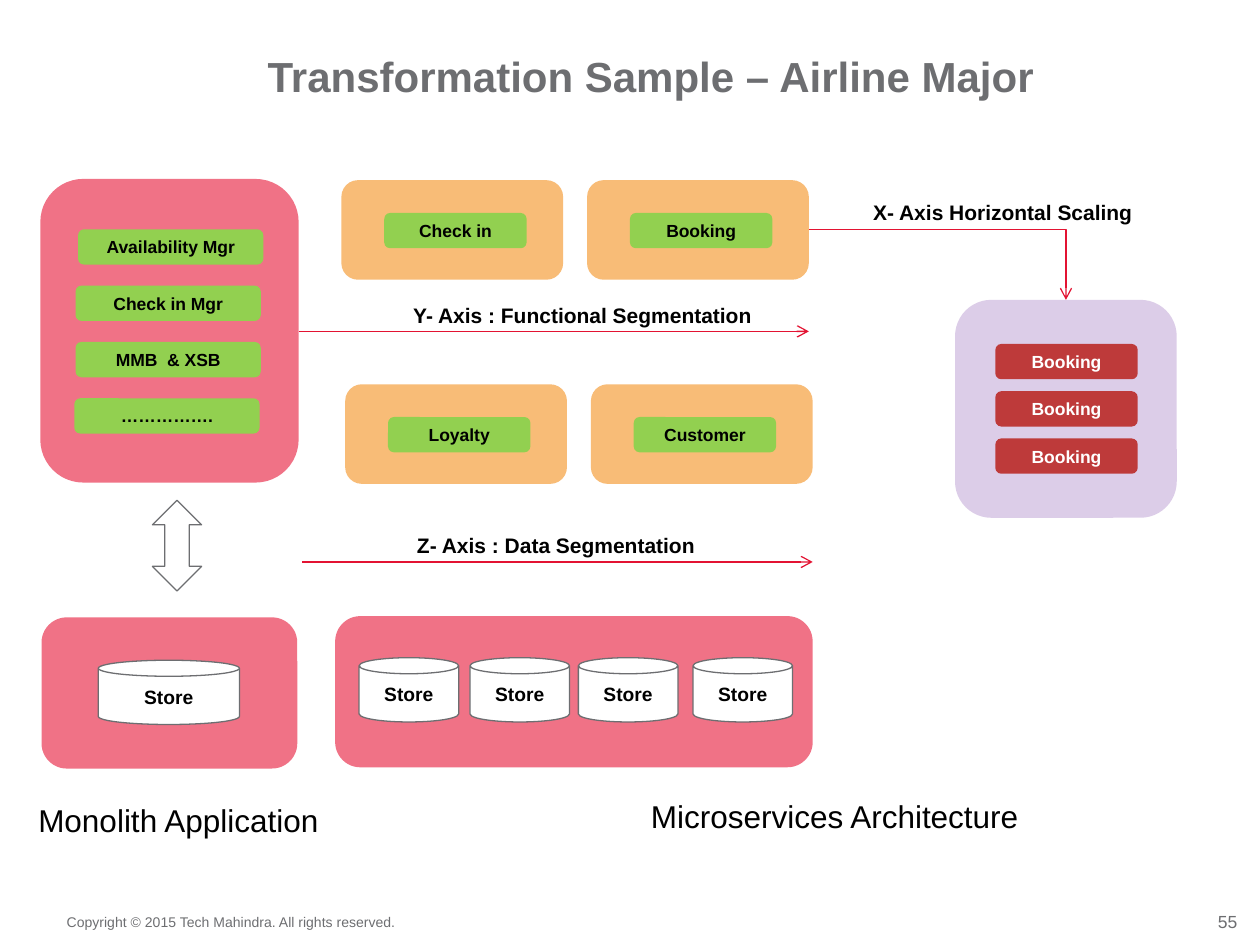
"""Build the airline transformation slide: monolith to microservices."""
import dataclasses
import lxml.etree
import pptx
import pptx.dml.color
import pptx.enum.shapes
import pptx.enum.text
import pptx.oxml.ns
import pptx.util

Inches = pptx.util.Inches
RGB = pptx.dml.color.RGBColor.from_string
SHAPE = pptx.enum.shapes.MSO_SHAPE
LINK = pptx.enum.shapes.MSO_CONNECTOR
ALIGN = pptx.enum.text.PP_ALIGN
ANCHOR = pptx.enum.text.MSO_ANCHOR
qn = pptx.oxml.ns.qn


@dataclasses.dataclass(frozen=True)
class Theme:
    font: str = "Arial"
    gray: str = "6D6E71"
    black: str = "000000"
    white: str = "FFFFFF"
    pink: str = "F07286"
    orange: str = "F8BC77"
    green: str = "92D050"
    red: str = "BE3A3A"
    purple: str = "7030A0"
    arrow: str = "E31332"
    title: int = 24
    caption: int = 18
    axis: int = 12
    store: int = 11
    chip: int = 10
    number: int = 10
    footer: int = 8


T = Theme()


def write(sp, text, size, color, bold=False, align=ALIGN.CENTER, anchor=ANCHOR.TOP, inset=None, wrap=True):
    tf = sp.text_frame
    tf.word_wrap = wrap
    tf.vertical_anchor = anchor
    if inset is not None:
        tf.margin_left = tf.margin_top = tf.margin_right = tf.margin_bottom = Inches(inset)
    p = tf.paragraphs[0]
    p.alignment = align
    r = p.add_run()
    r.text = text
    r.font.name = T.font
    r.font.size = pptx.util.Pt(size)
    r.font.bold = bold
    r.font.color.rgb = RGB(color)


def add_box(kind, x, y, w, h, fill, text="", size=T.chip, color=T.black, line=None):
    sp = s.shapes.add_shape(kind, Inches(x), Inches(y), Inches(w), Inches(h))
    sp.shadow.inherit = False
    sp.fill.solid()
    sp.fill.fore_color.rgb = RGB(fill)
    if line:
        sp.line.color.rgb = RGB(line)
        sp.line.width = pptx.util.Pt(0.75)
    else:
        sp.line.fill.background()
    if text:
        write(sp, text, size, color, bold=True, anchor=ANCHOR.MIDDLE)
    return sp


prs = pptx.Presentation()
prs.slide_width, prs.slide_height = Inches(10), Inches(7.5)
s = prs.slides.add_slide(prs.slide_layouts[5])

title = s.shapes.title
title.left, title.top, title.width, title.height = Inches(0.32), Inches(0.4), Inches(9.69), Inches(0.4)
write(title, "Transformation Sample – Airline Major", T.title, T.gray, bold=True, inset=0)

add_box(SHAPE.ROUNDED_RECTANGLE, 0.32, 1.42, 2.05, 2.41, T.pink)
managers = [(0.62, "Availability Mgr"), (0.6, "Check in Mgr"), (0.6, "MMB  & XSB"), (0.59, "…………….")]
for i, (x, name) in enumerate(managers):
    add_box(SHAPE.ROUNDED_RECTANGLE, x, 1.82 + 0.447 * i, 1.47, 0.28, T.green, name)

services = [(2.71, 1.43, "Check in"), (4.66, 1.43, "Booking"), (2.74, 3.05, "Loyalty"), (4.69, 3.05, "Customer")]
for x, y, name in services:
    add_box(SHAPE.ROUNDED_RECTANGLE, x, y, 1.76, 0.79, T.orange)
    add_box(SHAPE.ROUNDED_RECTANGLE, x + 0.34, y + 0.26, 1.13, 0.28, T.green, name)

scaled = add_box(SHAPE.ROUNDED_RECTANGLE, 7.58, 2.38, 1.76, 1.73, T.purple)
tint = next(scaled.element.iter(qn("a:srgbClr")))
lxml.etree.SubElement(tint, qn("a:alpha"), val="24000")
for i in range(3):
    add_box(SHAPE.ROUNDED_RECTANGLE, 7.9, 2.73 + 0.375 * i, 1.13, 0.28, T.red, "Booking", color=T.white)

add_box(SHAPE.UP_DOWN_ARROW, 1.21, 3.97, 0.39, 0.72, T.white, line=T.gray)
add_box(SHAPE.ROUNDED_RECTANGLE, 0.33, 4.9, 2.03, 1.2, T.pink)
add_box(SHAPE.ROUNDED_RECTANGLE, 2.66, 4.89, 3.79, 1.2, T.pink)
stores = [(0.78, 5.24, 1.12)] + [(x, 5.22, 0.79) for x in (2.85, 3.73, 4.59, 5.5)]
for x, y, w in stores:
    add_box(SHAPE.CAN, x, y, w, 0.51, T.white, "Store", T.store, line=T.gray)

axes = [
    (LINK.STRAIGHT, 2.37, 2.63, 6.42, 2.63),
    (LINK.STRAIGHT, 2.4, 4.46, 6.45, 4.46),
    (LINK.ELBOW, 6.42, 1.82, 8.46, 2.38),
]
for kind, x1, y1, x2, y2 in axes:
    cx = s.shapes.add_connector(kind, Inches(x1), Inches(y1), Inches(x2), Inches(y2))
    cx.line.color.rgb = RGB(T.arrow)
    cx.line.width = pptx.util.Pt(0.75)
    lxml.etree.SubElement(cx.line._get_or_add_ln(), qn("a:tailEnd"), type="arrow")
    props = cx.element.spPr
    lxml.etree.SubElement(props, qn("a:effectLst"))
    if kind == LINK.ELBOW:
        props.find(qn("a:prstGeom")).set("prst", "bentConnector2")

axis_style = dict(size=T.axis, color=T.black, bold=True, align=ALIGN.LEFT, inset=0)
caption_style = dict(size=T.caption, color=T.black, wrap=False)
footer_style = dict(size=T.footer, color=T.gray, align=ALIGN.LEFT, inset=0, wrap=False)
number_style = dict(size=T.number, color=T.gray, align=ALIGN.RIGHT, anchor=ANCHOR.MIDDLE, inset=0, wrap=False)
labels = [
    (3.28, 2.4, 2.86, 0.2, "Y- Axis : Functional Segmentation", axis_style),
    (3.31, 4.23, 2.86, 0.2, "Z- Axis : Data Segmentation", axis_style),
    (6.93, 1.58, 2.86, 0.2, "X- Axis Horizontal Scaling", axis_style),
    (0.19, 6.31, 2.52, 0.4, "Monolith Application ", caption_style),
    (5.05, 6.28, 3.22, 0.4, "Microservices Architecture ", caption_style),
    (0.53, 7.25, 2.66, 0.13, "Copyright © 2015 Tech Mahindra. All rights reserved.", footer_style),
    (9.65, 7.23, 0.17, 0.17, "55", number_style),
]
for x, y, w, h, text, style in labels:
    sp = s.shapes.add_textbox(Inches(x), Inches(y), Inches(w), Inches(h))
    write(sp, text, **style)

prs.save("out.pptx")
